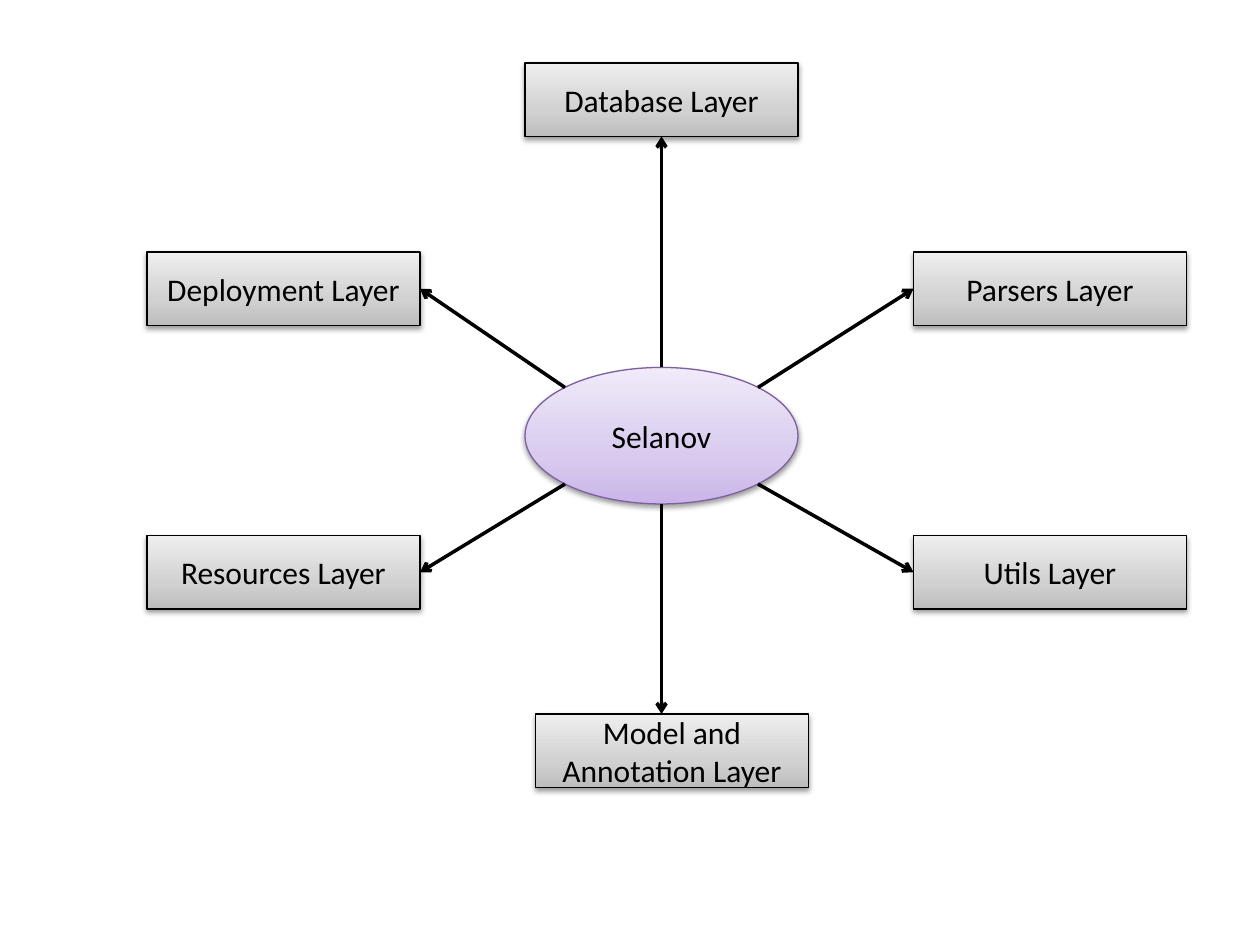
from math import hypot
from lxml import etree
from pptx import Presentation
from pptx import util as u
from pptx.dml.color import RGBColor
from pptx.enum import shapes, text
from pptx.oxml.ns import qn

GRID = u.Inches(1) // 12  # the slide is 120 columns by 90 rows
BLACK = "000000"
GREYS = ("BDBDBD", "D1D1D1", "EEEEEE")
LILACS = ("C9B5E8", "D8CBEE", "F0EAF9")
BOX_WIDTH, BOX_HEIGHT = 26, 7
HUB_LEFT, HUB_TOP, HUB_WIDTH, HUB_HEIGHT = 50, 35, 26, 13

# label, column, row, direction from the hub
LAYERS = [
    ("Database Layer", 50, 6, 0, -1),
    ("Deployment Layer", 14, 24, -1, -1),
    ("Parsers Layer", 87, 24, 1, -1),
    ("Model and Annotation Layer", 51, 68, 0, 1),
    ("Resources Layer", 14, 51, -1, 1),
    ("Utils Layer", 87, 51, 1, 1),
]


def add_element(parent, tag, **attributes):
    """Append a DrawingML element to parent and return it."""
    element = etree.SubElement(parent, qn(tag))
    for name, value in attributes.items():
        element.set(name, str(value))
    return element


def add_node(slide, kind, label, box, colors, outline):
    """Add a labelled shape with a vertical gradient and a soft shadow."""
    shape = slide.shapes.add_shape(kind, *(round(GRID * side) for side in box))
    shape.line.color.rgb = RGBColor.from_string(outline)
    shape.line.width = u.Pt(0.75)

    shape.fill.gradient()
    shape.fill.gradient_angle = 90
    stops = shape._element.spPr.find(qn("a:gradFill")).find(qn("a:gsLst"))
    for stop in list(stops):
        stops.remove(stop)
    for position, color in zip((0, 35000, 100000), colors):
        add_element(add_element(stops, "a:gs", pos=position), "a:srgbClr", val=color)

    shape.shadow.inherit = False
    effects = shape._element.spPr.find(qn("a:effectLst"))
    shadow = add_element(effects, "a:outerShdw", blurRad=40000, dist=20000,
                         dir=5400000, rotWithShape=0)
    add_element(add_element(shadow, "a:srgbClr", val=BLACK), "a:alpha", val=38000)

    frame = shape.text_frame
    frame.word_wrap = True
    frame.vertical_anchor = text.MSO_ANCHOR.MIDDLE
    paragraph = frame.paragraphs[0]
    paragraph.alignment = text.PP_ALIGN.CENTER
    run = paragraph.add_run()
    run.text = label
    run.font.name = "Calibri"
    run.font.size = u.Pt(18)
    run.font.color.rgb = RGBColor.from_string(BLACK)


presentation = Presentation()
presentation.slide_width, presentation.slide_height = u.Inches(10), u.Inches(7.5)
slide = presentation.slides.add_slide(presentation.slide_layouts[6])

add_node(slide, shapes.MSO_SHAPE.OVAL, "Selanov",
         (HUB_LEFT, HUB_TOP, HUB_WIDTH, HUB_HEIGHT), LILACS, "7D60A0")
for label, column, row, *direction in LAYERS:
    add_node(slide, shapes.MSO_SHAPE.RECTANGLE, label,
             (column, row, BOX_WIDTH, BOX_HEIGHT), GREYS, BLACK)

# Arrows leave the hub's rim and end on the facing side of each box
hub_x, hub_y = HUB_LEFT + HUB_WIDTH / 2, HUB_TOP + HUB_HEIGHT / 2
for label, column, row, across, down in LAYERS:
    length = hypot(across, down)
    start = (hub_x + across / length * HUB_WIDTH / 2,
             hub_y + down / length * HUB_HEIGHT / 2)
    if across:
        end = (column if across > 0 else column + BOX_WIDTH, row + BOX_HEIGHT / 2)
    else:
        end = (hub_x, row if down > 0 else row + BOX_HEIGHT)
    arrow = slide.shapes.add_connector(
        shapes.MSO_CONNECTOR.STRAIGHT, *(round(GRID * place) for place in start + end))
    arrow.line.color.rgb = RGBColor.from_string(BLACK)
    arrow.line.width = u.Pt(2)
    add_element(arrow.line._get_or_add_ln(), "a:tailEnd", type="arrow")
    add_element(arrow._element.spPr, "a:effectLst")

presentation.save("out.pptx")
